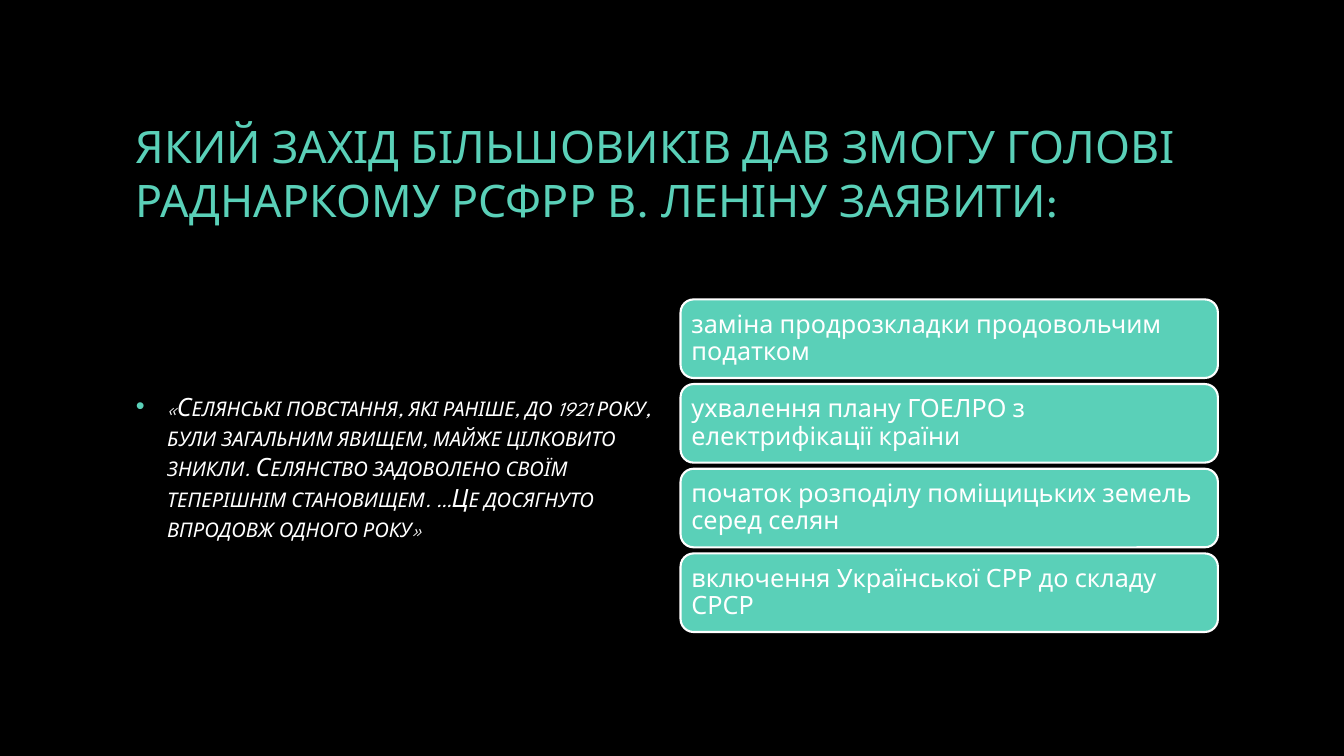
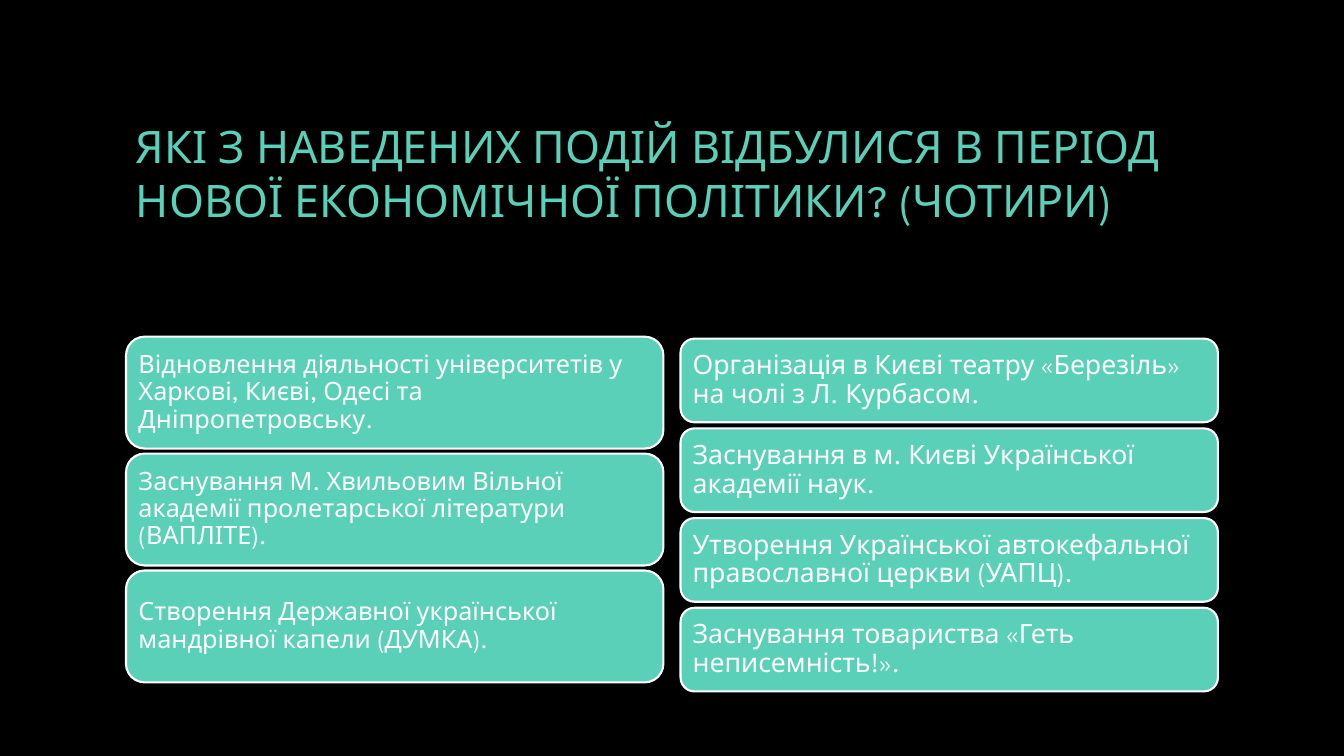
from dataclasses import dataclass

from lxml import etree
from pptx import Presentation
from pptx import util as u
from pptx.dml.color import RGBColor
from pptx.enum import lang, shapes, text
from pptx.oxml import ns


@dataclass(frozen=True)
class Theme:
    background: RGBColor = RGBColor(0x00, 0x00, 0x00)
    accent: RGBColor = RGBColor(0x5A, 0xD0, 0xB8)
    light: RGBColor = RGBColor(0xFF, 0xFF, 0xFF)
    font: str = "League Spartan"
    title_size: int = 32
    body_size: int = 18
    large_card_size: int = 19
    outline: float = 1.5


THEME = Theme()
LEFT_COLUMN = 1.25
RIGHT_COLUMN = 6.75
COLUMN_WIDTH = 5.33
TITLE_WIDTH = RIGHT_COLUMN + COLUMN_WIDTH - LEFT_COLUMN


def add_bullet(paragraph, color, indent):
    properties = paragraph._p.get_or_add_pPr()
    properties.set("marL", str(u.Inches(indent)))
    properties.set("indent", str(-u.Inches(indent)))
    bullet_color = etree.SubElement(properties, ns.qn("a:buClr"))
    etree.SubElement(bullet_color, ns.qn("a:srgbClr"), val=str(color))
    etree.SubElement(properties, ns.qn("a:buFont"), typeface="Arial")
    etree.SubElement(properties, ns.qn("a:buChar"), char="•")


def write_text(shape, content, *, size, color, inset=None, spacing=None,
               after=0, italic=False, small_caps=False, bullet_indent=None):
    frame = shape.text_frame
    frame.word_wrap = True
    frame.vertical_anchor = text.MSO_ANCHOR.MIDDLE
    if inset is not None:
        frame.margin_left = frame.margin_right = u.Inches(inset)
        frame.margin_top = frame.margin_bottom = u.Inches(inset)
    paragraph = frame.paragraphs[0]
    if bullet_indent is not None:
        add_bullet(paragraph, THEME.accent, bullet_indent)
    paragraph.alignment = text.PP_ALIGN.LEFT
    paragraph.space_after = u.Pt(after)
    if spacing is not None:
        paragraph.line_spacing = spacing
    run = paragraph.add_run()
    run.text = content
    run.font.name = THEME.font
    run.font.size = u.Pt(size)
    run.font.color.rgb = color
    run.font.italic = italic
    run.font.language_id = lang.MSO_LANGUAGE_ID.UKRAINIAN
    if small_caps:
        run._r.get_or_add_rPr().set("cap", "small")


class Deck:
    def __init__(self):
        self.presentation = Presentation()
        self.presentation.slide_width = u.Inches(13.33)
        self.presentation.slide_height = u.Inches(7.5)
        self.slide = None

    def new_slide(self, title):
        layout = self.presentation.slide_layouts[6]
        self.slide = self.presentation.slides.add_slide(layout)
        fill = self.slide.background.fill
        fill.solid()
        fill.fore_color.rgb = THEME.background
        box = self.text_box(LEFT_COLUMN, 0.67, TITLE_WIDTH, 2.08)
        write_text(box, title, size=THEME.title_size, color=THEME.accent)

    def text_box(self, left, top, width, height):
        return self.slide.shapes.add_textbox(
            u.Inches(left), u.Inches(top), u.Inches(width), u.Inches(height))

    def quote(self, content):
        box = self.text_box(LEFT_COLUMN, 2.92, COLUMN_WIDTH, 3.42)
        write_text(box, content, size=THEME.body_size, color=THEME.light,
                   after=6, italic=True, small_caps=True, bullet_indent=0.31)

    def card(self, content, left, top, height, size, inset):
        shape = self.slide.shapes.add_shape(
            shapes.MSO_SHAPE.ROUNDED_RECTANGLE, u.Inches(left), u.Inches(top),
            u.Inches(COLUMN_WIDTH), u.Inches(height))
        shape.shadow.inherit = False
        shape.fill.solid()
        shape.fill.fore_color.rgb = THEME.accent
        shape.line.color.rgb = THEME.light
        shape.line.width = u.Pt(THEME.outline)
        write_text(shape, content, size=size, color=THEME.light, inset=inset,
                   spacing=0.9, after=0.35 * size)

    def card_column(self, contents, left, top, height, pitch,
                    size=THEME.body_size, inset=0.07):
        for row, content in enumerate(contents):
            self.card(content, left, top + row * pitch, height, size, inset)


def main():
    deck = Deck()

    deck.new_slide("ЯКИЙ ЗАХІД БІЛЬШОВИКІВ ДАВ ЗМОГУ ГОЛОВІ РАДНАРКОМУ "
                   "РСФРР В. ЛЕНІНУ ЗАЯВИТИ:")
    deck.quote("«Селянські повстання, які раніше, до 1921 року, були загальним "
               "явищем, майже цілковито зникли. Селянство задоволено своїм "
               "теперішнім становищем. …Це досягнуто впродовж одного року»")
    deck.card_column([
        "заміна продрозкладки продовольчим податком",
        "ухвалення плану ГОЕЛРО з електрифікації країни",
        "початок розподілу поміщицьких земель серед селян",
        "включення Української СРР до складу СРСР",
    ], RIGHT_COLUMN, top=2.97, height=0.78, pitch=0.84)

    deck.new_slide("ЯКІ З НАВЕДЕНИХ ПОДІЙ ВІДБУЛИСЯ В ПЕРІОД НОВОЇ "
                   "ЕКОНОМІЧНОЇ ПОЛІТИКИ? (ЧОТИРИ)")
    deck.card_column([
        "Відновлення діяльності університетів у Харкові, Києві, Одесі та "
        "Дніпропетровську.",
        "Заснування М. Хвильовим Вільної академії пролетарської літератури "
        "(ВАПЛІТЕ).",
        "Створення Державної української мандрівної капели (ДУМКА).",
    ], LEFT_COLUMN, top=3.34, height=1.11, pitch=1.16)
    deck.card_column([
        "Організація в Києві театру «Березіль» на чолі з Л. Курбасом.",
        "Заснування в м. Києві Української академії наук.",
        "Утворення Української автокефальної православної церкви (УАПЦ).",
        "Заснування товариства «Геть неписемність!».",
    ], RIGHT_COLUMN, top=3.36, height=0.83, pitch=0.89,
        size=THEME.large_card_size, inset=0.08)

    deck.presentation.save("out.pptx")


if __name__ == "__main__":
    main()
